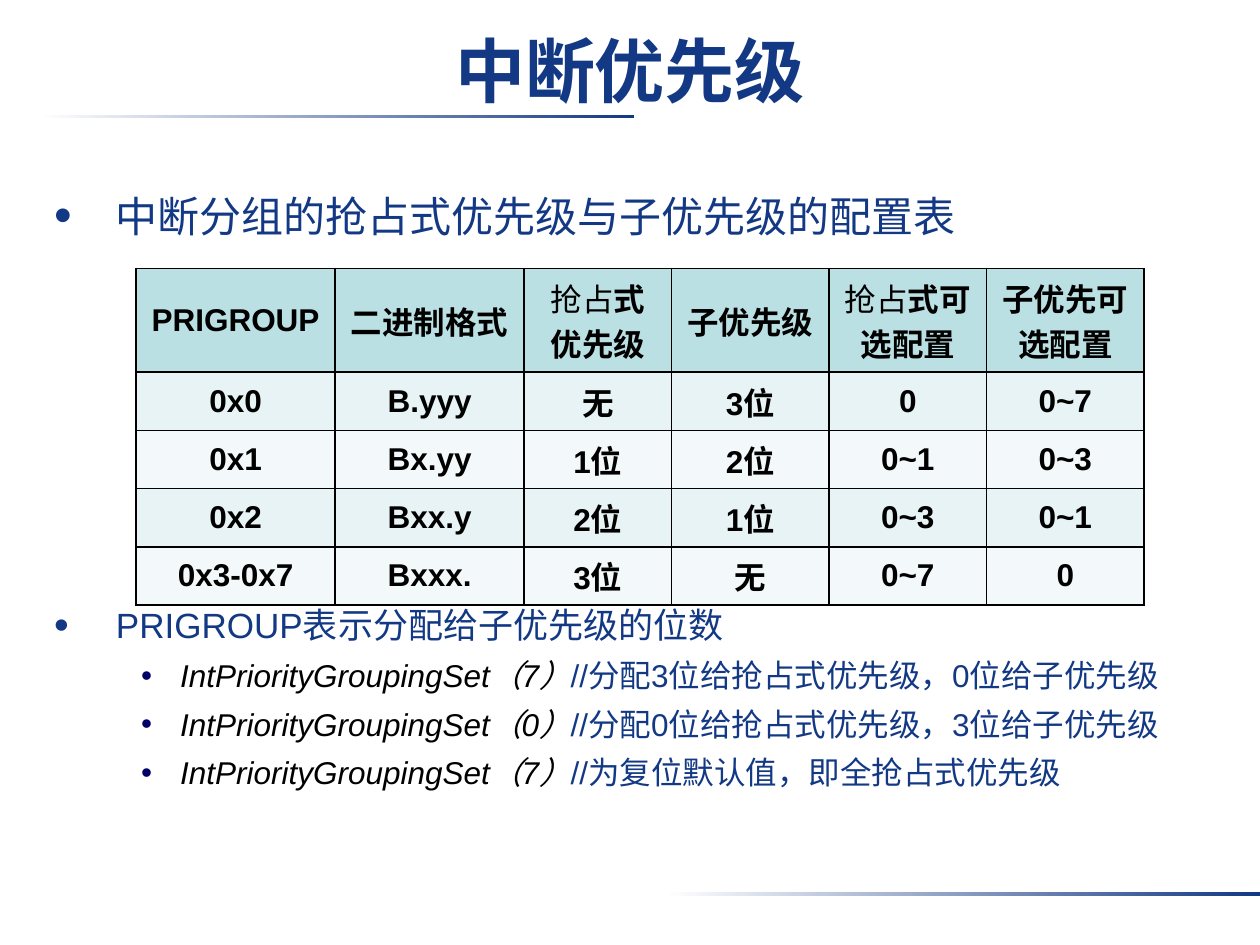
import pptx
import pptx.util
import pptx.dml.color
import pptx.enum.shapes
import pptx.enum.text
import pptx.oxml.ns
import lxml.etree

Inches, Pt = pptx.util.Inches, pptx.util.Pt
RGBColor = pptx.dml.color.RGBColor
CENTER = pptx.enum.text.PP_ALIGN.CENTER
MIDDLE = pptx.enum.text.MSO_ANCHOR.MIDDLE

NAVY = RGBColor(0x13, 0x39, 0x84)
BULLET_BLUE = RGBColor(0x00, 0x00, 0x66)
BLACK = RGBColor(0, 0, 0)
WHITE = RGBColor(0xFF, 0xFF, 0xFF)
HEADER_FILL = RGBColor(0xBB, 0xE0, 0xE3)
BAND_FILLS = (RGBColor(0xF3, 0xF9, 0xFA), RGBColor(0xE7, 0xF3, 0xF4))

WIDTH, HEIGHT = 10, 7.5
TITLE_BOX = (0, 0.17, WIDTH, 0.75)
BODY_BOX = (0.33, 1.42, 9.45, 5.38)
TABLE_BOX = (1.08, 2.13, 8, 2.67)
RULE_BOXES = ((0.31, 0.91, 4.72, 0.03), (5.28, 7.08, 4.72, 0.03))

COLUMN_WIDTHS = (1.58, 1.5, 1.17, 1.25, 1.25, 1.25)
HEADER_HEIGHT = 0.82
PLAIN_PREFIX = "抢占"  # set in regular weight in the header
ROWS = (
    ("PRIGROUP", "二进制格式", "抢占式优先级", "子优先级", "抢占式可选配置", "子优先可选配置"),
    ("0x0", "B.yyy", "无", "3位", "0", "0~7"),
    ("0x1", "Bx.yy", "1位", "2位", "0~1", "0~3"),
    ("0x2", "Bxx.y", "2位", "1位", "0~3", "0~1"),
    ("0x3-0x7", "Bxxx.", "3位", "无", "0~7", "0"),
)

# Main points: text, size, space before (the second clears the table)
POINTS = (
    ("中断分组的抢占式优先级与子优先级的配置表", 24, 5),
    ("PRIGROUP表示分配给子优先级的位数", 20, 205),
)
CALLS = (
    ("IntPriorityGroupingSet（7）", "//分配3位给抢占式优先级，0位给子优先级"),
    ("IntPriorityGroupingSet（0）", "//分配0位给抢占式优先级，3位给子优先级"),
    ("IntPriorityGroupingSet（7）", "//为复位默认值，即全抢占式优先级"),
)


def place(shape, box):
    shape.left, shape.top, shape.width, shape.height = map(Inches, box)


def add_span(para, text, size, color, bold=False, italic=False):
    span = para.add_run()
    span.text = text
    span.font.name, span.font.size = "Arial", Pt(size)
    span.font.color.rgb = color
    span.font.bold, span.font.italic = bold, italic


def add_child(parent, tag, **attributes):
    return lxml.etree.SubElement(parent, pptx.oxml.ns.qn(tag), attributes)


def format_bullet(para, level, before, color, percent, left, hanging):
    para.level = level
    para.line_spacing = 1.1
    para.space_before = Pt(before)
    properties = para._p.get_or_add_pPr()
    properties.set("marL", str(Inches(left)))
    properties.set("indent", str(-Inches(hanging)))
    add_child(add_child(properties, "a:buClr"), "a:srgbClr", val=str(color))
    add_child(properties, "a:buSzPct", val=str(percent * 1000))
    add_child(properties, "a:buFont", typeface="Arial")
    add_child(properties, "a:buChar", char="•")


def add_rule(page, box):
    rule = page.shapes.add_shape(pptx.enum.shapes.MSO_SHAPE.RECTANGLE, *map(Inches, box))
    rule.shadow.inherit = False
    rule.line.fill.background()
    rule.fill.gradient()
    rule.fill.gradient_angle = 0
    for stop, position, color in zip(rule.fill.gradient_stops, (0, 1), (WHITE, NAVY)):
        stop.position = position
        stop.color.rgb = color


def fill_title(title, box):
    place(title, box)
    frame = title.text_frame
    frame.auto_size = pptx.enum.text.MSO_AUTO_SIZE.NONE
    frame.vertical_anchor = MIDDLE
    frame.margin_top, frame.margin_bottom = Inches(0.06), Inches(0.04)
    para = frame.paragraphs[0]
    para.alignment = CENTER
    add_span(para, "中断优先级", 40, NAVY, bold=True)


def fill_body(body, box):
    place(body, box)
    frame = body.text_frame
    frame.auto_size = pptx.enum.text.MSO_AUTO_SIZE.NONE
    frame.word_wrap = True
    for index, (text, size, before) in enumerate(POINTS):
        para = frame.add_paragraph() if index else frame.paragraphs[0]
        format_bullet(para, 0, before, NAVY, 120, 0.49, 0.49)
        add_span(para, text, size, NAVY)
    for call, comment in CALLS:
        para = frame.add_paragraph()
        format_bullet(para, 1, 4, BULLET_BLUE, 100, 1, 0.31)
        add_span(para, call, 18, BLACK, italic=True)
        add_span(para, comment, 18, NAVY)


def add_borders(cell):
    properties = cell._tc.get_or_add_tcPr()
    for side in ("a:lnL", "a:lnR", "a:lnT", "a:lnB"):
        line = add_child(properties, side, w=str(Pt(1)))
        add_child(add_child(line, "a:solidFill"), "a:srgbClr", val=str(BLACK))


def fill_cell(cell, text, color):
    add_borders(cell)
    cell.fill.solid()
    cell.fill.fore_color.rgb = color
    cell.vertical_anchor = MIDDLE
    para = cell.text_frame.paragraphs[0]
    para.alignment = CENTER
    if text.startswith(PLAIN_PREFIX):
        add_span(para, PLAIN_PREFIX, 18, BLACK)
        text = text.removeprefix(PLAIN_PREFIX)
    add_span(para, text, 18, BLACK, bold=True)


def add_priority_table(page, box):
    table = page.shapes.add_table(len(ROWS), len(COLUMN_WIDTHS), *map(Inches, box)).table
    for column, width in zip(table.columns, COLUMN_WIDTHS):
        column.width = Inches(width)
    row_height = (box[3] - HEADER_HEIGHT) / (len(ROWS) - 1)
    for index, texts in enumerate(ROWS):
        table.rows[index].height = Inches(row_height if index else HEADER_HEIGHT)
        color = BAND_FILLS[index % 2] if index else HEADER_FILL
        for column, text in enumerate(texts):
            fill_cell(table.cell(index, column), text, color)


def main():
    deck = pptx.Presentation()
    deck.slide_width, deck.slide_height = Inches(WIDTH), Inches(HEIGHT)
    page = deck.slides.add_slide(deck.slide_layouts[1])
    # Title and its rules
    fill_title(page.shapes.title, TITLE_BOX)
    for box in RULE_BOXES:
        add_rule(page, box)
    # Bullets, with the table between the main points
    fill_body(page.placeholders[1], BODY_BOX)
    add_priority_table(page, TABLE_BOX)
    deck.save("out.pptx")


if __name__ == "__main__":
    main()
